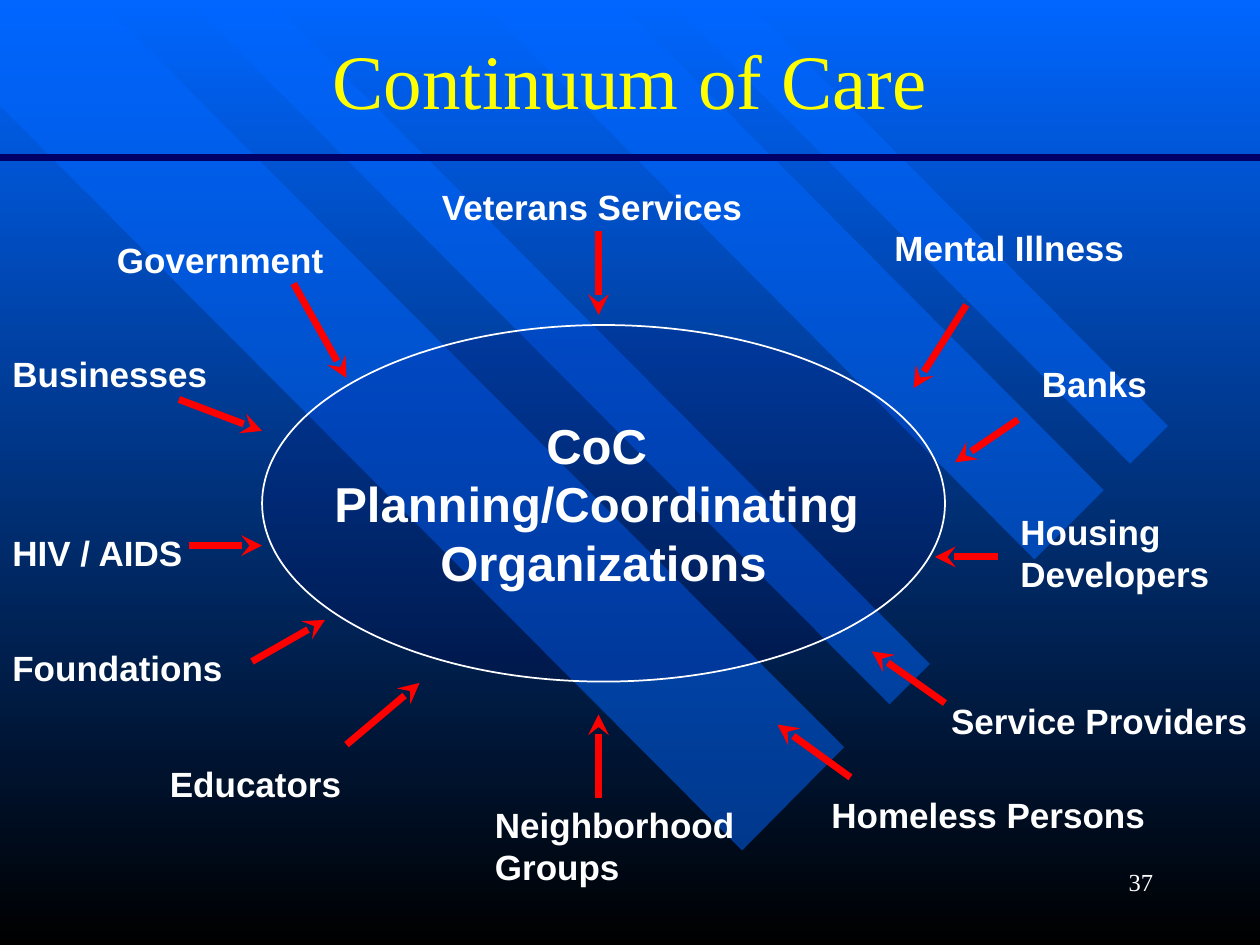
from dataclasses import dataclass

from lxml import etree
from pptx import Presentation
from pptx.dml.color import RGBColor
from pptx.enum.shapes import MSO_CONNECTOR, MSO_SHAPE
from pptx.enum.text import MSO_ANCHOR, PP_ALIGN
from pptx.oxml.ns import qn
from pptx.util import Inches, Pt

LINE = MSO_CONNECTOR.STRAIGHT
OVAL = MSO_SHAPE.OVAL
MIDDLE, TOP = MSO_ANCHOR.MIDDLE, MSO_ANCHOR.TOP
LEFT, CENTER, RIGHT = PP_ALIGN.LEFT, PP_ALIGN.CENTER, PP_ALIGN.RIGHT
WHITE, RED, NAVY, BLUE, YELLOW = "FFFFFF", "FF0000", "000066", "0066FF", "FFFF00"


@dataclass
class Label:
    text: str
    left: float
    top: float
    width: float
    height: float = 0.43
    wrap: bool = False


@dataclass
class Arrow:
    x1: float
    y1: float
    x2: float
    y2: float


BANDS = [
    [(6.7, 5.93), (0.79, 0), (0, 0), (0, 0.84), (5.89, 6.75)],
    [(2.14, 0), (7.38, 5.27), (7.06, 5.59), (1.49, 0)],
    [(4.89, 0), (8.76, 3.89), (8.21, 4.44), (3.8, 0)],
    [(5.3, 0), (8.97, 3.68), (9.27, 3.38), (5.91, 0)],
]
LABELS = [
    Label("Veterans Services", 3.41, 1.42, 2.6),
    Label("Government", 0.83, 1.84, 1.84),
    Label("Businesses", 0, 2.75, 1.75),
    Label("Mental Illness", 7, 1.75, 2.03),
    Label("HIV / AIDS", 0, 4.17, 1.56),
    Label("Neighborhood Groups", 3.83, 6.33, 2.27, 0.77, True),
    Label("Banks", 8.17, 2.83, 1.04),
    Label("Foundations", 0, 5.08, 1.87),
    Label("Service Providers", 7.45, 5.5, 2.55),
    Label("Housing\nDevelopers", 8, 4, 1.7, 0.77),
    Label("Homeless Persons", 6.5, 6.25, 2.69),
    Label("Educators", 1.25, 6, 1.56),
]
ARROWS = [
    Arrow(4.75, 1.83, 4.75, 2.5),
    Arrow(2.33, 2.25, 2.75, 3),
    Arrow(7.5, 5.58, 6.92, 5.17),
    Arrow(2.75, 5.91, 3.33, 5.42),
    Arrow(1.42, 3.17, 2.08, 3.42),
    Arrow(7.92, 4.42, 7.42, 4.42),
    Arrow(8.08, 3.33, 7.58, 3.67),
    Arrow(7.67, 2.42, 7.25, 3.08),
    Arrow(2, 5.25, 2.58, 4.92),
    Arrow(6.75, 6.17, 6.17, 5.75),
    Arrow(4.75, 6.33, 4.75, 5.67),
    Arrow(1.5, 4.33, 2.08, 4.33),
]


def paint(color, code: str) -> None:
    color.rgb = RGBColor.from_string(code)


def fill(shape, code: str, alpha: int) -> None:
    shape.shadow.inherit = False
    shape.fill.solid()
    paint(shape.fill.fore_color, code)
    tint = shape._element.spPr.find(qn("a:solidFill"))[0]
    etree.SubElement(tint, qn("a:alpha"), val=str(alpha * 1000))


def write(shape, text: str, *, size=20, font="Arial", color=WHITE, bold=True,
          align=LEFT, anchor=TOP, wrap=False) -> None:
    frame = shape.text_frame
    frame.text = text
    frame.word_wrap = wrap
    frame.vertical_anchor = anchor
    for para in frame.paragraphs:
        para.alignment = align
        for run in para.runs:
            run.font.size = Pt(size)
            run.font.name = font
            run.font.bold = bold
            paint(run.font.color, color)


def place(shape, *box: float) -> None:
    shape.left, shape.top, shape.width, shape.height = map(Inches, box)


def draw_band(slide, points: list) -> None:
    spots = [(Inches(x), Inches(y)) for x, y in points]
    form = slide.shapes.build_freeform(*spots[0])
    form.add_line_segments(spots[1:], close=True)
    band = form.convert_to_shape()
    fill(band, BLUE, 50)
    band.line.fill.background()


def draw_line(slide, arrow: Arrow, color: str, width: float, head=True) -> None:
    ends = map(Inches, (arrow.x1, arrow.y1, arrow.x2, arrow.y2))
    line = slide.shapes.add_connector(LINE, *ends)
    paint(line.line.color, color)
    line.line.width = Pt(width)
    if head:
        etree.SubElement(line.line._get_or_add_ln(), qn("a:tailEnd"), type="stealth")
    etree.SubElement(line._element.spPr, qn("a:effectLst"))


def draw_label(slide, label: Label, **style) -> None:
    box = map(Inches, (label.left, label.top, label.width, label.height))
    write(slide.shapes.add_textbox(*box), label.text, wrap=label.wrap, **style)


def main() -> None:
    """Build the Continuum of Care slide."""
    deck = Presentation()
    deck.slide_width, deck.slide_height = Inches(10), Inches(7.5)
    slide = deck.slides.add_slide(deck.slide_layouts[5])

    back = slide.background.fill
    back.gradient()
    back.gradient_angle = 270
    for stop, code in zip(back.gradient_stops, (BLUE, "000000")):
        paint(stop.color, code)

    for points in BANDS:
        draw_band(slide, points)
    draw_line(slide, Arrow(0, 1.25, 10, 1.25), NAVY, 4.5, head=False)

    title = slide.shapes.title
    slide.shapes._spTree.append(title._element)
    place(title, 0.75, 0, 8.5, 1.25)
    write(title, "Continuum of Care", size=44, font="Times New Roman",
          color=YELLOW, bold=False, align=CENTER, anchor=MIDDLE, wrap=True)

    hub = slide.shapes.add_shape(OVAL, *map(Inches, (2.08, 2.58, 5.42, 2.83)))
    fill(hub, NAVY, 13)
    paint(hub.line.color, WHITE)
    hub.line.width = Pt(1)
    write(hub, "CoC \nPlanning/Coordinating \vOrganizations", size=28,
          align=CENTER, anchor=MIDDLE)

    for label in LABELS:
        draw_label(slide, label)
    for arrow in ARROWS:
        draw_line(slide, arrow, RED, 4)
    draw_label(slide, Label("37", 7.17, 6.83, 2.08, 0.5, True), size=14,
               font="Times New Roman", bold=False, align=RIGHT)
    deck.save("out.pptx")


if __name__ == "__main__":
    main()
